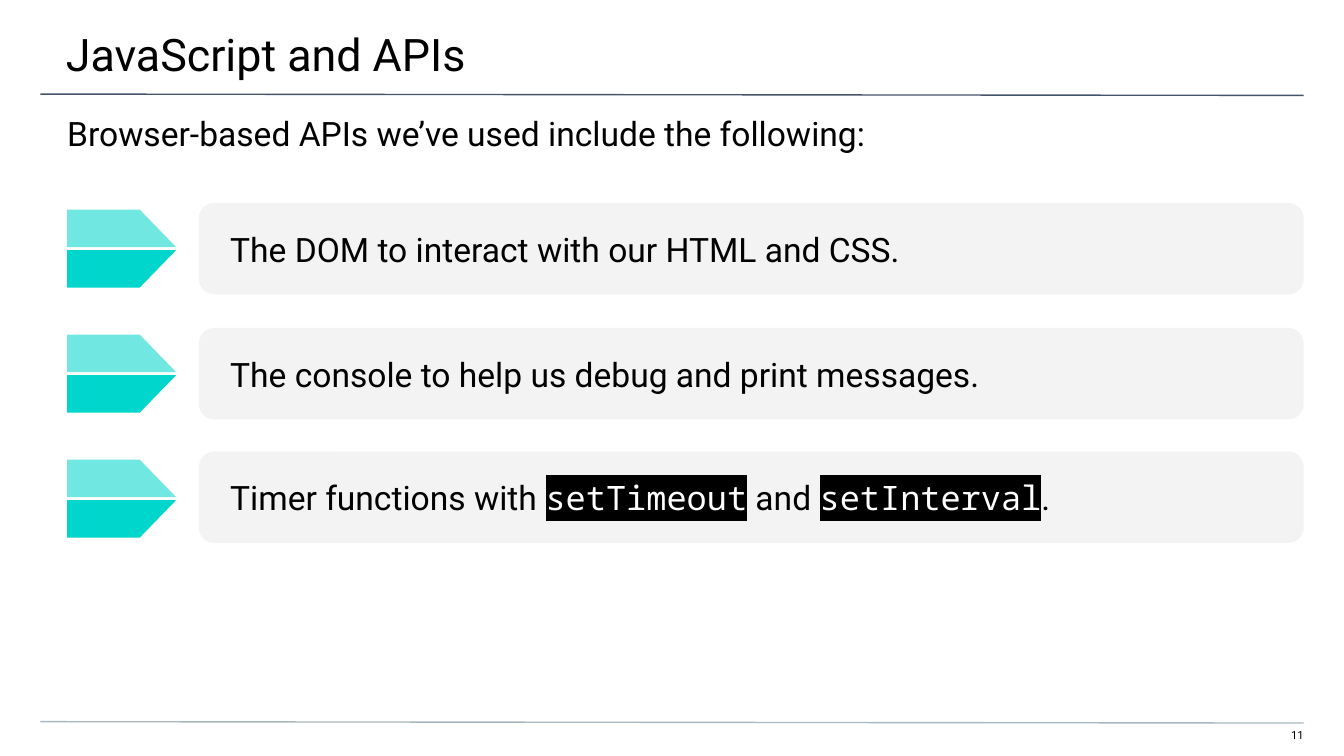
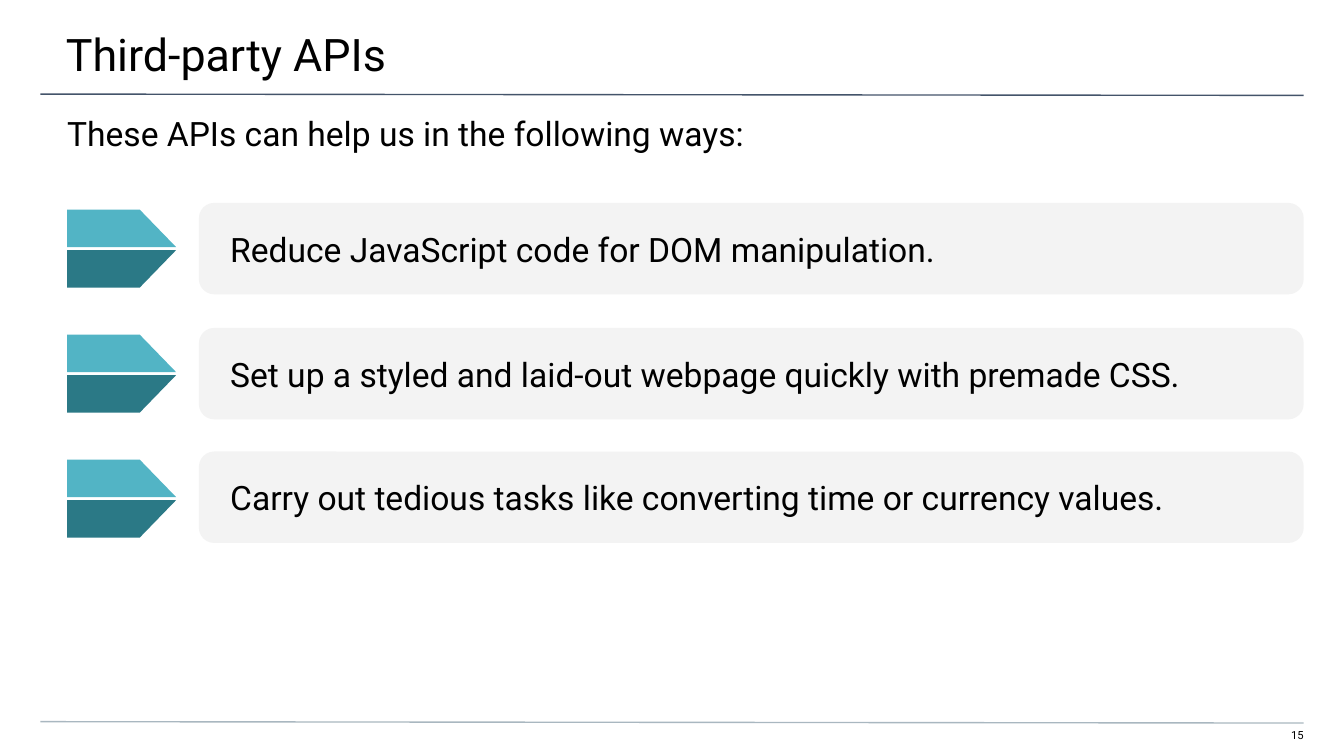
from lxml import etree
from pptx import Presentation
from pptx.dml.color import RGBColor
from pptx.enum.shapes import MSO_CONNECTOR, MSO_SHAPE
from pptx.enum.text import MSO_ANCHOR, PP_ALIGN
from pptx.oxml.ns import qn
from pptx.util import Inches, Pt

STRAIGHT = MSO_CONNECTOR.STRAIGHT
ROUNDED = MSO_SHAPE.ROUNDED_RECTANGLE
TOP, MIDDLE = MSO_ANCHOR.TOP, MSO_ANCHOR.MIDDLE
LEFT, RIGHT = PP_ALIGN.LEFT, PP_ALIGN.RIGHT

BLACK = RGBColor(0x00, 0x00, 0x00)
WHITE = RGBColor(0xFF, 0xFF, 0xFF)
NAVY = RGBColor(0x44, 0x54, 0x6A)
SILVER = RGBColor(0xA9, 0xB7, 0xC0)
PANEL = RGBColor(0xF3, 0xF3, 0xF3)
AQUA = RGBColor(0x00, 0xD6, 0xCB)
SKY = RGBColor(0x52, 0xB4, 0xC5)
TEAL = RGBColor(0x2B, 0x79, 0x86)

SANS, MONO = "Roboto", "Noto Sans Mono"
WIDTH = 10
HEIGHT = WIDTH * 9 / 16
EDGE, MARGIN = 0.3, 0.5
PANEL_TOPS, PANEL_LEFT, PANEL_HEIGHT = (1.51, 2.44, 3.36), 1.48, 0.68
ARROW_TOP, ARROW_PITCH = 1.56, 0.93
ARROW_WIDTH, ARROW_HEIGHT = 0.81, 0.58


def box(x, y, w, h):
    return [Inches(v) for v in (x, y, w, h)]


def style_run(r, size, font=SANS, color=BLACK):
    r.font.size = Pt(size)
    r.font.color.rgb = color
    r.font.name = font


def highlight(r, color):
    mark = etree.Element(qn("a:highlight"))
    etree.SubElement(mark, qn("a:srgbClr"), val=str(color))
    r.font._element.find(qn("a:solidFill")).addnext(mark)


def write(sp, parts, size, insets, anchor=TOP, align=LEFT):
    tf = sp.text_frame
    tf.word_wrap = True
    tf.vertical_anchor = anchor
    tf.margin_left, tf.margin_top, tf.margin_right, tf.margin_bottom = map(Inches, insets)
    p = tf.paragraphs[0]
    p.alignment = align
    for i, text in enumerate(parts):
        r = p.add_run()
        r.text = text
        if i % 2:
            style_run(r, size, MONO, WHITE)
            highlight(r, BLACK)
        else:
            style_run(r, size)


def paint(sp, color):
    sp.shadow.inherit = False
    sp.fill.solid()
    sp.fill.fore_color.rgb = color
    sp.line.fill.background()


def add_rule(s, y, color):
    line = s.shapes.add_connector(STRAIGHT, *box(EDGE, y, WIDTH - EDGE, y + 0.01))
    line.line.color.rgb = color
    line.line.width = Pt(0.75)
    etree.SubElement(line._element.spPr, qn("a:effectLst"))


def add_frame(s, title, number):
    add_rule(s, 0.7, NAVY)
    add_rule(s, 5.37, SILVER)
    sp = s.shapes.title
    sp.left, sp.top, sp.width, sp.height = box(-0.01, 0, WIDTH + 0.03, 0.58)
    write(sp, [title], 24, (MARGIN, 0.2, EDGE, 0.1))
    sp = s.shapes.add_textbox(*box(WIDTH - EDGE - 0.29, 5.42, 0.29, 0.12))
    write(sp, [str(number)], 6, (0, 0, 0, 0.1), align=RIGHT)


def add_arrow(s, x, y, w, h, colors, alpha):
    half = 0.48 * h
    for outer, inner, color in ((y, y + half, colors[0]), (y + h, y + h - half, colors[1])):
        points = [(x, inner), (x + w, inner), (x + w * 2 / 3, outer)]
        builder = s.shapes.build_freeform(Inches(x), Inches(outer))
        builder.add_line_segments([(Inches(a), Inches(b)) for a, b in points])
        sp = builder.convert_to_shape()
        paint(sp, color)
        if alpha and outer == y:
            clr = sp._element.spPr.find(qn("a:solidFill")).find(qn("a:srgbClr"))
            etree.SubElement(clr, qn("a:alpha"), val=str(alpha * 1000))


def add_panel(s, x, y, w, h, parts):
    sp = s.shapes.add_shape(ROUNDED, *box(x, y, w, h))
    paint(sp, PANEL)
    write(sp, parts, 18, (0.2, 0.1, 0.1, 0.1), MIDDLE)


def add_list_slide(prs, title, number, intro, rows, colors, alpha=None):
    s = prs.slides.add_slide(prs.slide_layouts[5])
    add_frame(s, title, number)
    sp = s.shapes.add_textbox(*box(0, 0.74, WIDTH, 0.4))
    write(sp, [intro], 18, (MARGIN, 0.1, MARGIN, 0))
    for i, (y, parts) in enumerate(zip(PANEL_TOPS, rows)):
        add_arrow(s, MARGIN, ARROW_TOP + i * ARROW_PITCH, ARROW_WIDTH, ARROW_HEIGHT, colors, alpha)
        add_panel(s, PANEL_LEFT, y, WIDTH - EDGE - PANEL_LEFT, PANEL_HEIGHT, parts)


def main():
    prs = Presentation()
    prs.slide_width, prs.slide_height = Inches(WIDTH), Inches(HEIGHT)
    add_list_slide(
        prs, "JavaScript and APIs", 11,
        "Browser-based APIs we’ve used include the following:",
        [
            ["The DOM to interact with our HTML and CSS."],
            ["The console to help us debug and print messages."],
            ["Timer functions with ", "setTimeout", " and ", "setInterval", "."],
        ],
        (AQUA, AQUA), alpha=56)
    add_list_slide(
        prs, "Third-party APIs", 15,
        "These APIs can help us in the following ways:",
        [
            ["Reduce JavaScript code for DOM manipulation."],
            ["Set up a styled and laid-out webpage quickly with premade CSS."],
            ["Carry out tedious tasks like converting time or currency values."],
        ],
        (SKY, TEAL))
    prs.save("out.pptx")


if __name__ == "__main__":
    main()
